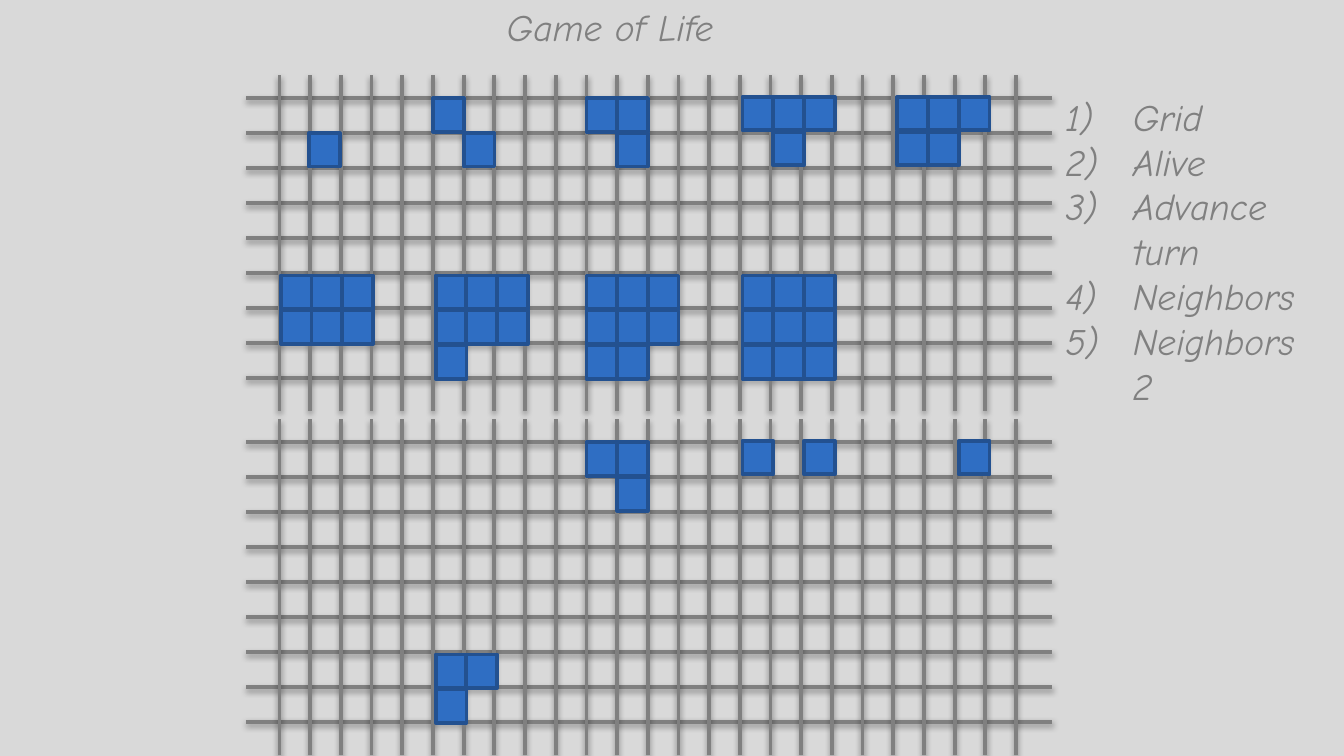
from dataclasses import dataclass

from lxml.etree import SubElement as Sub
from pptx import Presentation
from pptx.dml.color import RGBColor as Rgb
from pptx.enum.shapes import MSO_CONNECTOR as Link, MSO_SHAPE as Kind
from pptx.enum.text import MSO_ANCHOR as Anchor, MSO_AUTO_SIZE as Fit, PP_ALIGN as Align
from pptx.oxml.ns import qn
from pptx.util import Inches, Pt

WIDE = 10
HIGH = WIDE * 9 / 16
COLS, ROWS = 25, 9
LEFT, RIGHT = 1.83, 7.83
FIRST, LAST = 2.08, 7.56
COL = (LAST - FIRST) / (COLS - 1)
ROW = 0.26
HEAD, DEPTH = 0.17, 2.5
CELL_W, CELL_H = 0.23, 0.25
GRAY, BACK, FILL, EDGE = "808080", "D9D9D9", "2F6EC3", "235190"
FONT, SIZE = "Comic Neue", 20


@dataclass
class Colony:
    col: int
    row: int
    cells: tuple[str, ...]
    dx: float = 0
    dy: float = 0


@dataclass
class Board:
    top: float
    life: list[Colony]


BOARDS = [
    Board(0.56, [
        Colony(1, 1, ("x",), -0.01),
        Colony(5, 0, ("x.", ".x")),
        Colony(10, 0, ("xx", ".x")),
        Colony(15, 0, ("xxx", ".x."), 0.02, -0.01),
        Colony(20, 0, ("xxx", "xx."), 0.03, -0.01),
        Colony(0, 5, ("xxx", "xxx"), 0.01, 0.02),
        Colony(5, 5, ("xxx", "xxx", "x.."), 0.02, 0.02),
        Colony(10, 5, ("xxx", "xxx", "xx."), 0, 0.02),
        Colony(15, 5, ("xxx", "xxx", "xxx"), 0.02, 0.02),
    ]),
    Board(3.12, [
        Colony(10, 0, ("xx", ".x")),
        Colony(15, 0, ("x.x",), 0.02, -0.01),
        Colony(22, 0, ("x",), 0.03, -0.01),
        Colony(5, 6, ("xx", "x."), 0.02, 0.02),
    ]),
]
STEPS = ["Grid", "Alive", "Advance turn", "Neighbors", "Neighbors 2"]


def paint(fill, tone: str) -> None:
    fill.solid()
    fill.fore_color.rgb = Rgb.from_string(tone)


def rule(shapes, x1: float, y1: float, x2: float, y2: float) -> None:
    line = shapes.add_connector(Link.STRAIGHT, *map(Inches, (x1, y1, x2, y2)))
    paint(line.line.fill, GRAY)
    line.line.width = Pt(2)
    glow = Sub(line._element.spPr, qn("a:effectLst"))
    shade = Sub(glow, qn("a:outerShdw"), blurRad=str(Pt(3.1)), dist=str(Pt(1.6)),
                dir="5400000", rotWithShape="0")
    tone = Sub(shade, qn("a:srgbClr"), val="000000")
    Sub(tone, qn("a:alpha"), val="38000")


def cell(shapes, x: float, y: float) -> None:
    box = shapes.add_shape(Kind.RECTANGLE, *map(Inches, (x, y, CELL_W, CELL_H)))
    box.shadow.inherit = False
    paint(box.fill, FILL)
    paint(box.line.fill, EDGE)
    box.line.width = Pt(2)


def draw(shapes, board: Board) -> None:
    base = board.top + HEAD
    group = shapes.add_group_shape().shapes
    for row in range(ROWS):
        y = base + row * ROW
        rule(group, LEFT, y, RIGHT, y)
    for col in range(COLS):
        x = FIRST + col * COL
        rule(shapes, x, board.top + DEPTH, x, board.top)
    for spot in board.life:
        x = FIRST + spot.col * COL + spot.dx
        y = base + spot.row * ROW + spot.dy
        for i, marks in enumerate(spot.cells):
            for j, mark in enumerate(marks):
                if mark == "x":
                    cell(shapes, x + j * COL, y + i * ROW)


def write(box, lines: list[str]) -> None:
    frame = box.text_frame
    frame.text = "\n".join(lines)
    frame.word_wrap = True
    frame.auto_size = Fit.SHAPE_TO_FIT_TEXT
    frame.vertical_anchor = Anchor.TOP
    for para in frame.paragraphs:
        para.alignment = Align.LEFT
        for part in (para, *para.runs):
            font = part.font
            font.name, font.size, font.italic = FONT, Pt(SIZE), True
            paint(font.fill, GRAY)


def count(box) -> None:
    for para in box.text_frame.paragraphs:
        props = para._p.get_or_add_pPr()
        props.set("marL", str(Inches(0.5)))
        props.set("indent", str(Inches(-0.5)))
        mark = props.makeelement(qn("a:buAutoNum"), {"type": "arabicParenR"})
        props.insert(0, mark)


def main() -> None:
    deck = Presentation()
    deck.slide_width, deck.slide_height = Inches(WIDE), Inches(HIGH)
    slide = deck.slides.add_slide(deck.slide_layouts[5])
    paint(slide.background.fill, BACK)
    shapes = slide.shapes
    title = shapes.title
    title.left, title.top, title.width, title.height = map(Inches, (3.67, -0.02, 2.58, 0.44))
    write(title, ["Game of Life"])
    for board in BOARDS:
        draw(shapes, board)
    steps = shapes.add_textbox(*map(Inches, (RIGHT, 0.65, 2.08, 2.46)))
    write(steps, STEPS)
    count(steps)
    deck.save("out.pptx")


if __name__ == "__main__":
    main()
